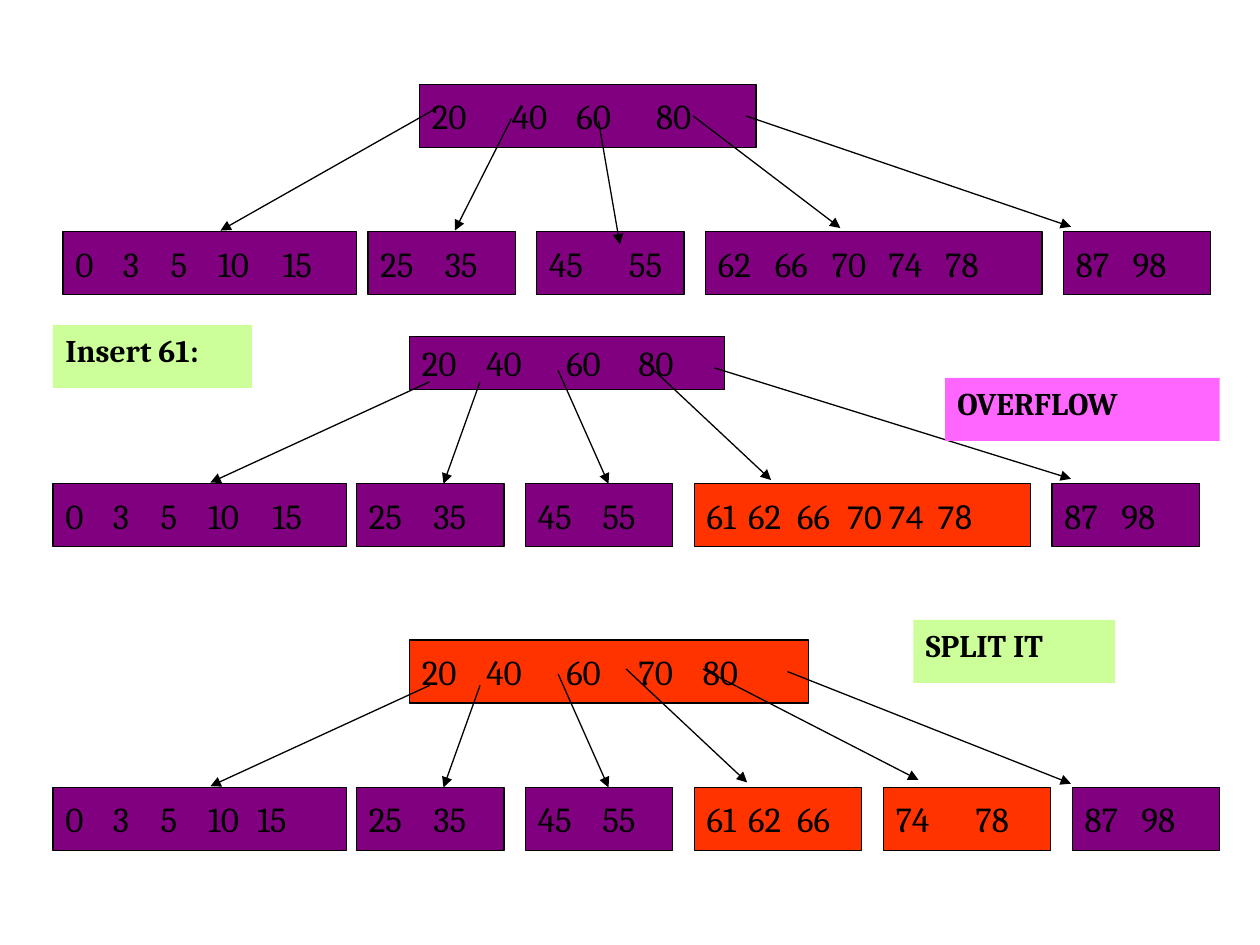
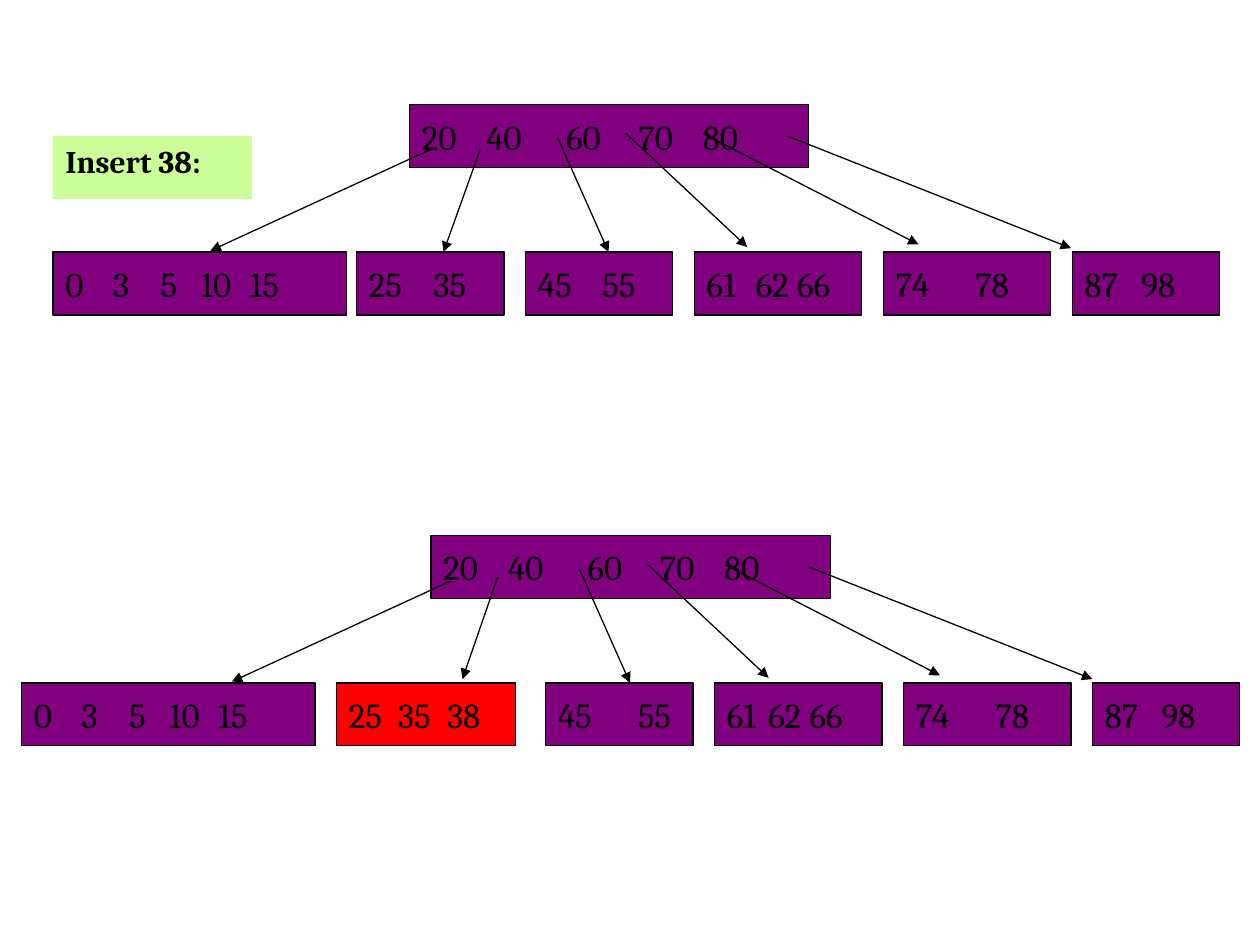
"""B+ tree insertion: overflow, split and plain insert, on two slides."""
from dataclasses import dataclass

from lxml import etree
from pptx import Presentation
from pptx.dml.color import RGBColor
from pptx.enum import shapes, text
from pptx.oxml import ns
from pptx.util import Inches, Pt


class Theme:
    NODE, CHANGED, INSERTED = "800080", "FF3300", "FF0000"
    STEP, ALERT, INK = "CCFF99", "FF66FF", "000000"
    SERIF, SANS = "Cambria", "Calibri"
    KEY_SIZE, LABEL_SIZE, LINE = Pt(20), Pt(18), Pt(0.75)


DIGIT, SPACE = 0.134, 0.061  # advance widths of a key's digits and gap units
ROW, DROP, GAP = 0.5, 1.17, 0.17  # node height, root to leaves, between leaves
NARROW, MEDIUM, WIDE, ROOT = 1.17, 1.33, 2.33, 3.17


@dataclass
class Node:
    keys: str
    gaps: tuple  # units of SPACE between neighbouring keys
    width: float
    fill: str = Theme.NODE
    before: float = GAP
    height: float = ROW
    sans_from: int = 99  # index of the first key set in the sans font


def rgb(value):
    return RGBColor.from_string(value)


def add_box(slide, left, top, width, height, fill, outlined):
    sp = slide.shapes.add_shape(shapes.MSO_SHAPE.RECTANGLE, Inches(left),
                                Inches(top), Inches(width), Inches(height))
    sp.shadow.inherit = False
    sp.fill.solid()
    sp.fill.fore_color.rgb = rgb(fill)
    if outlined:
        sp.line.color.rgb = rgb(Theme.INK)
        sp.line.width = Theme.LINE
    else:
        sp.line.fill.background()
    tf = sp.text_frame
    tf.word_wrap = True
    tf.vertical_anchor = text.MSO_ANCHOR.MIDDLE if outlined else text.MSO_ANCHOR.TOP
    p = tf.paragraphs[0]
    p.alignment = text.PP_ALIGN.LEFT
    return p


def add_run(p, words, size, font=Theme.SERIF, bold=False):
    r = p.add_run()
    r.text = words
    r.font.size, r.font.name, r.font.bold = size, font, bold
    r.font.color.rgb = rgb(Theme.INK)


def add_tab_stops(p, keys, gaps):
    """Set one stop at the start of each key after the first."""
    tabs = etree.SubElement(p._p.get_or_add_pPr(), ns.qn("a:tabLst"))
    at = 0
    for key, gap in zip(keys, gaps):
        at += len(key) * DIGIT + gap * SPACE
        etree.SubElement(tabs, ns.qn("a:tab"), pos=str(Inches(at)), algn="l")


def add_node(slide, left, top, node):
    p = add_box(slide, left, top, node.width, node.height, node.fill, True)
    keys = node.keys.split()
    add_tab_stops(p, keys, node.gaps)
    serif, sans = keys[:node.sans_from], keys[node.sans_from:]
    add_run(p, "\t".join(serif) + ("\t" if sans else ""), Theme.KEY_SIZE)
    if sans:
        add_run(p, "\t".join(sans), Theme.KEY_SIZE, Theme.SANS)


def add_label(slide, left, top, width, words, fill=Theme.STEP):
    p = add_box(slide, left, top, width, ROW, fill, False)
    add_run(p, words, Theme.LABEL_SIZE, bold=True)


def add_arrow(slide, x1, y1, x2, y2):
    cx = slide.shapes.add_connector(shapes.MSO_CONNECTOR.STRAIGHT, Inches(x1),
                                    Inches(y1), Inches(x2), Inches(y2))
    cx.line.color.rgb = rgb(Theme.INK)
    cx.line.width = Theme.LINE
    sp_pr = cx._element.spPr
    etree.SubElement(sp_pr.find(ns.qn("a:ln")), ns.qn("a:tailEnd"), type="triangle")
    etree.SubElement(sp_pr, ns.qn("a:effectLst"))


def add_tree(slide, left, top, root_left, root, leaves, arrows):
    """Root at (root_left, top), leaves in a row from left; arrows start at the root's corner."""
    add_node(slide, root_left, top, root)
    x = left
    for i, leaf in enumerate(leaves):
        x += leaf.before if i else 0
        add_node(slide, x, top + DROP, leaf)
        x += leaf.width
    for x1, y1, x2, y2 in arrows:
        add_arrow(slide, root_left + x1, top + y1, root_left + x2, top + y2)


ARROWS_START = [(0.15, 0.18, -1.58, 1.16), (0.73, 0.27, 0.28, 1.16),
                (1.42, 0.29, 1.59, 1.27), (2.17, 0.25, 3.34, 1.14),
                (2.59, 0.25, 5.17, 1.13)]
ARROWS_LEFT = [(0.16, 0.36, -1.58, 1.16), (0.56, 0.36, 0.27, 1.17),
               (1.18, 0.27, 1.58, 1.17)]
ARROWS_OVERFLOW = ARROWS_LEFT + [(1.92, 0.25, 2.87, 1.14), (2.42, 0.25, 5.25, 1.13)]
ARROWS_SPLIT = ARROWS_LEFT + [(1.72, 0.23, 2.68, 1.13), (2.33, 0.23, 4.04, 1.11),
                              (3.0, 0.25, 5.25, 1.14)]
ARROWS_INSERTED = [ARROWS_SPLIT[0], (0.53, 0.33, 0.25, 1.14)] + ARROWS_SPLIT[2:]


def first_leaf(*gaps):
    return Node("0 3 5 10 15", gaps, WIDE)


def pair(keys, gap=4, before=GAP, width=NARROW, fill=Theme.NODE):
    return Node(keys, (gap,), width, fill, before)


def split_root(fill=Theme.NODE):
    return Node("20 40 60 70 80", (4, 6, 5, 4), ROOT, fill)


def split_leaves(first, second, third, middle_gaps, fill=Theme.NODE):
    """The six leaves that follow the split of 61 to 78."""
    return [first, second, third,
            Node("61 62 66", middle_gaps, MEDIUM, fill),
            pair("74 78", 6, width=MEDIUM, fill=fill), pair("87 98", 3)]


def build_insert_61(slide):
    add_tree(slide, 0.5, 0.67, 3.33, Node("20 40 60 80", (6, 4, 6), 2.67),
             [first_leaf(4, 4, 4, 4), pair("25 35", before=0.09),
              pair("45 55", 6), Node("62 66 70 74 78", (3, 3, 3, 3), 2.67),
              pair("87 98", 3)], ARROWS_START)
    add_label(slide, 0.42, 2.58, 1.58, "Insert 61:")
    add_tree(slide, 0.42, 2.67, 3.25, Node("20 40 60 80", (4, 6, 5), 2.5, height=0.42),
             [first_leaf(4, 4, 4, 4), pair("25 35", before=0.08), pair("45 55"),
              Node("61 62 66 70 74 78", (1, 2, 2, 1, 2), 2.67, Theme.CHANGED,
                   sans_from=3),
              pair("87 98", 3)], ARROWS_OVERFLOW)
    add_label(slide, 7.5, 3, 2.18, "OVERFLOW", Theme.ALERT)
    add_tree(slide, 0.42, 5.08, 3.25, split_root(Theme.CHANGED),
             split_leaves(first_leaf(4, 4, 4, 2), pair("25 35", before=0.08),
                          pair("45 55"), (1, 2), Theme.CHANGED), ARROWS_SPLIT)
    add_label(slide, 7.25, 4.92, 1.6, "SPLIT IT")


def build_insert_38(slide):
    add_label(slide, 0.42, 1.08, 1.58, "Insert 38:")
    add_tree(slide, 0.42, 0.83, 3.25, split_root(),
             split_leaves(first_leaf(4, 4, 3, 2), pair("25 35", before=0.08),
                          pair("45 55"), (2, 1)), ARROWS_SPLIT)
    add_tree(slide, 0.17, 4.25, 3.42, split_root(),
             split_leaves(first_leaf(4, 4, 3, 2),
                          Node("25 35 38", (2, 2), 1.42, Theme.INSERTED),
                          pair("45 55", 6, before=0.24), (1, 1)), ARROWS_INSERTED)


def main():
    prs = Presentation()
    prs.slide_width, prs.slide_height = Inches(10), Inches(7.5)
    blank = prs.slide_layouts[6]
    for build in (build_insert_61, build_insert_38):
        build(prs.slides.add_slide(blank))
    prs.save("out.pptx")


if __name__ == "__main__":
    main()
